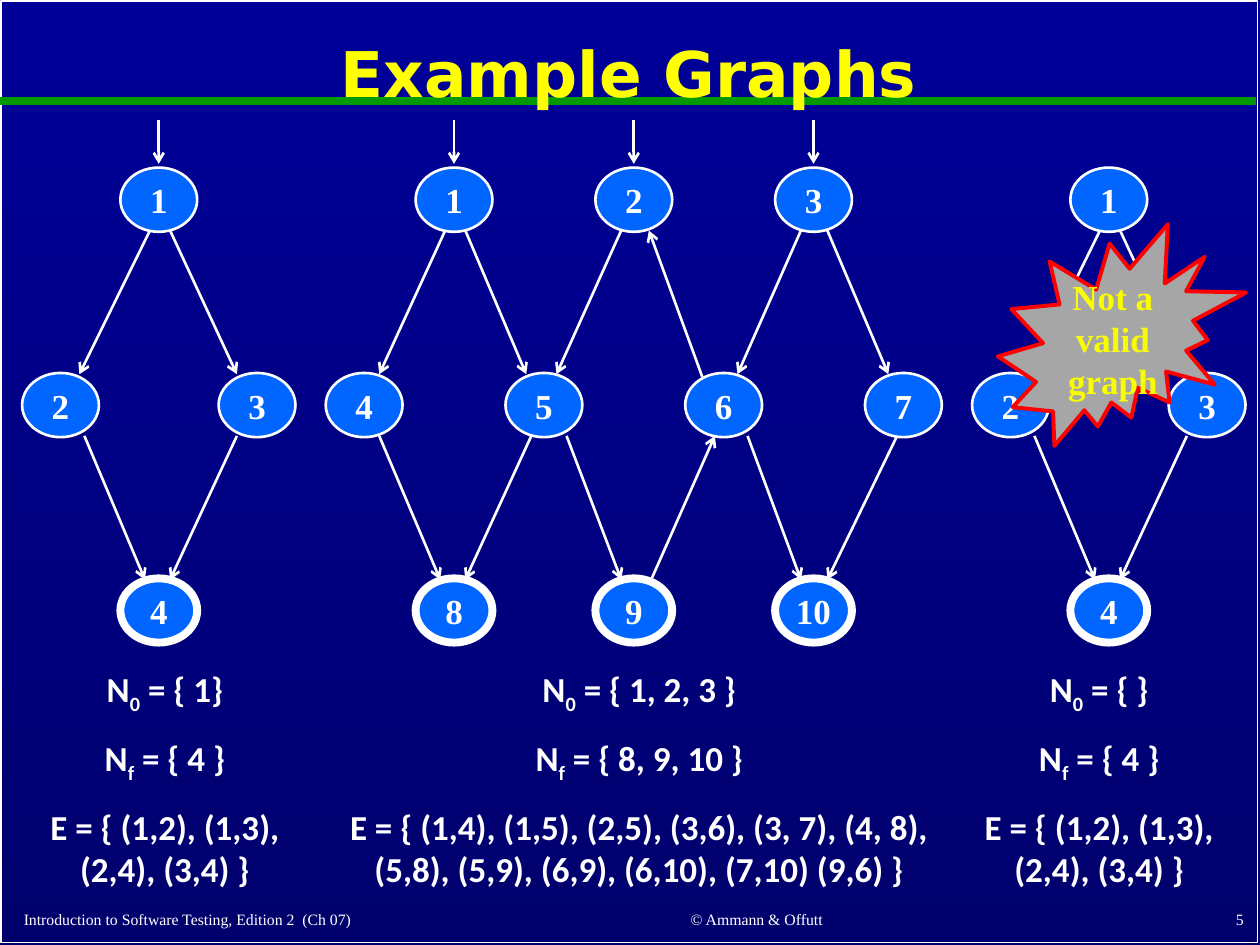
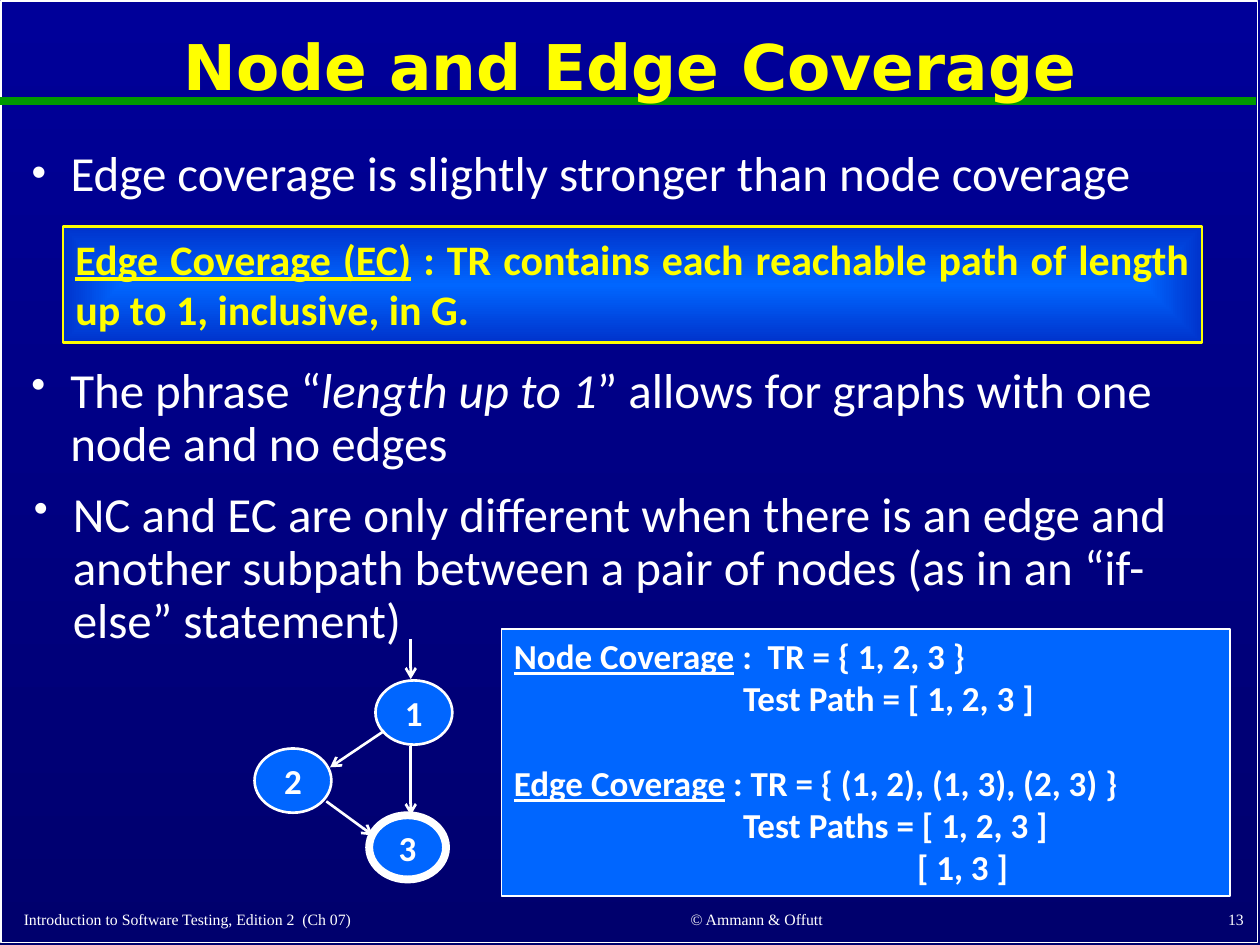
from lxml.etree import SubElement
from pptx import Presentation
from pptx.dml.color import RGBColor
from pptx.enum.shapes import MSO_CONNECTOR, MSO_SHAPE
from pptx.enum.text import MSO_ANCHOR as Anchor, MSO_AUTO_SIZE, PP_ALIGN as Align
from pptx.oxml.ns import qn
from pptx.util import Pt

PX = 9144  # EMU per px, 100 px to the inch

WHITE = RGBColor(0xFF, 0xFF, 0xFF)
YELLOW = RGBColor(0xFF, 0xFF, 0x00)
WARNING_YELLOW = RGBColor(0xFA, 0xFD, 0x00)
RED = RGBColor(0xFF, 0x00, 0x00)
GREEN = RGBColor(0x00, 0x99, 0x00)
GREY = RGBColor(0xA6, 0xA6, 0xA6)
BLUE = RGBColor(0x00, 0x66, 0xFF)
DEEP_BLUE = RGBColor(0x00, 0x33, 0xCC)
SKY_TOP = RGBColor(0x00, 0x00, 0x99)
SKY_BOTTOM = RGBColor(0x00, 0x00, 0x6D)

SERIF, SANS, TITLE_FONT = "Times New Roman", "Calibri", "DejaVu Sans"

FOOTERS = [
    ("Introduction to Software Testing, Edition 2  (Ch 07)", (9, 712, 412, 30), Align.LEFT),
    ("© Ammann & Offutt", (442, 711, 317, 31), Align.CENTER),
]
NUMBER_BOX = (789, 710, 208, 32)

# Nodes are name: (column, row); edges are source, target, and the
# sideways offsets at which the arrow leaves and arrives.
NODE_WIDTH, NODE_HEIGHT = 61, 51
ROW_TOPS = (133, 296, 459)
DIAMOND = {
    "nodes": {1: (1, 0), 2: (0, 1), 3: (2, 1), 4: (1, 2)},
    "edges": [(1, 2, -7, 15), (1, 3, 9, -16), (2, 4, 19, -11), (3, 4, -16, 9)],
}
LATTICE = {
    "nodes": {1: (1, 0), 2: (3, 0), 3: (5, 0),
              4: (0, 1), 5: (2, 1), 6: (4, 1), 7: (6, 1),
              8: (1, 2), 9: (3, 2), 10: (5, 2)},
    "edges": [(1, 4, -7, 12), (1, 5, 9, -14), (2, 5, -10, 10), (3, 6, -10, 11),
              (3, 7, 11, -12), (4, 8, 12, -11), (5, 8, -10, 9), (5, 9, 18, -10),
              (6, 9, 0, 0), (6, 10, 19, -10), (7, 10, -5, 11), (6, 2, -17, 12),
              (9, 6, 13, -7)],
}
LATTICE["edges"].remove((6, 9, 0, 0))


def sets(initial, final, edges):
    return [["N", ("0", "sub"), f" = {initial}"],
            ["N", ("f", "sub"), f" = {final}"],
            [f"E = {edges}"]]


DIAMOND_EDGES = "{ (1,2), (1,3), (2,4), (3,4) }"
# graph, first column centre, last column centre, initial nodes, caption box, caption
EXAMPLE_GRAPHS = [
    (DIAMOND, 48, 204, [1], (18, 525, 226, 178),
     sets("{ 1}", "{ 4 }", DIAMOND_EDGES)),
    (DIAMOND, 802, 958, [], (756, 525, 233, 178),
     sets("{ }", "{ 4 }", DIAMOND_EDGES)),
    (LATTICE, 289, 717, [1, 2, 3], (259, 525, 497, 212),
     sets("{ 1, 2, 3 }", "{ 8, 9, 10 }",
          "{ (1,4), (1,5), (2,5), (3,6), (3, 7), (4, 8), "
          "(5,8), (5,9), (6,9), (6,10), (7,10) (9,6) }")),
]
WARNING = [["Not a"], ["valid"], ["graph"]]

BULLETS = [
    ((15, 113, 970, 52), ["Edge coverage is slightly stronger than node coverage"]),
    ((15, 286, 970, 83), ["The phrase “", ("length up to 1", "i"),
                          "” allows for graphs with one node and no edges"]),
    ((17, 384, 970, 83), ["NC and EC are only different when there is an edge and another "
                          "subpath between a pair of nodes (as in an “if-else” statement)"]),
]
DEFINITION = [[("Edge Coverage (EC)", "u"),
               " : TR contains each reachable path of length up to 1, inclusive, in G."]]
# indent, space before in points, runs
COVERAGE_LINES = [
    (0, 0, [("Node Coverage", "u"), " :  TR = { 1, 2, 3 }"]),
    (182, 0, ["Test Path = [ 1, 2, 3 ]"]),
    (0, 24.4, [("Edge Coverage", "u"), " : TR = { (1, 2), (1, 3), (2, 3) }"]),
    (182, 0, ["Test Paths = [ 1, 2, 3 ]"]),
    (320, 0, ["[ 1, 3 ]"]),
]
BRANCH_NODES = [(2, 202, 594, False), (3, 293, 647, True), (1, 298, 540, False)]
BRANCH_ARROWS = [((305, 580), (262, 609)), ((259, 636), (296, 663)),
                 ((326, 592), (326, 647)), ((326, 507), (326, 539))]


def emu(values):
    return [round(value * PX) for value in values]


def move(shape, box):
    shape.left, shape.top, shape.width, shape.height = emu(box)


def write(shape, lines, font, size, color=WHITE, bold=False, align=Align.LEFT,
          anchor=Anchor.TOP, wrap=True):
    """Fill a shape with lines of runs; a run is a string or (string, mark)."""
    frame = shape.text_frame
    frame.word_wrap, frame.vertical_anchor = wrap, anchor
    frame.auto_size = MSO_AUTO_SIZE.NONE
    for index, runs in enumerate(lines):
        paragraph = frame.add_paragraph() if index else frame.paragraphs[0]
        paragraph.alignment = align
        paragraph.font.name, paragraph.font.size = font, Pt(size)
        paragraph.font.bold, paragraph.font.color.rgb = bold, color
        for item in runs:
            text, mark = (item, "") if isinstance(item, str) else item
            run = paragraph.add_run()
            run.text = text
            if mark == "u":
                run.font.underline = True
            elif mark == "i":
                run.font.italic = True
            elif mark == "sub":
                run._r.get_or_add_rPr().set("baseline", "-25000")
    return frame.paragraphs


def add_text(slide, box, lines, *style, **options):
    return write(slide.shapes.add_textbox(*emu(box)), lines, *style, **options)


def add_panel(slide, kind, box, line_color, line_width, fill=None):
    shape = slide.shapes.add_shape(kind, *emu(box))
    shape.shadow.inherit = False
    shape.line.color.rgb, shape.line.width = line_color, Pt(line_width)
    if fill is None:
        shape.fill.background()
    else:
        shape.fill.solid()
        shape.fill.fore_color.rgb = fill
    return shape


def add_line(slide, start, end, color=WHITE, width=1.5, arrow=True):
    connector = slide.shapes.add_connector(MSO_CONNECTOR.STRAIGHT, *emu((*start, *end)))
    connector.line.color.rgb, connector.line.width = color, Pt(width)
    properties = connector._element.spPr
    if arrow:
        SubElement(properties.find(qn("a:ln")), qn("a:tailEnd"), type="arrow")
    SubElement(properties, qn("a:effectLst"))


def add_node(slide, name, left, top, final, font):
    node = add_panel(slide, MSO_SHAPE.OVAL, (left, top, NODE_WIDTH, NODE_HEIGHT),
                     WHITE, 4.5 if final else 1.5, BLUE)
    write(node, [[str(name)]], font, 20, bold=True, align=Align.CENTER,
          anchor=Anchor.MIDDLE, wrap=False)


def add_graph(slide, graph, first, last, initial):
    columns = max(column for column, _ in graph["nodes"].values())
    step = (last - first) / columns
    places = {name: (first + column * step, ROW_TOPS[row])
              for name, (column, row) in graph["nodes"].items()}
    for name, (center, top) in places.items():
        add_node(slide, name, center - NODE_WIDTH / 2, top, top == ROW_TOPS[-1], SERIF)
    for source, target, leave, arrive in graph["edges"]:
        (start_x, start_top), (end_x, end_top) = places[source], places[target]
        down = start_top < end_top
        add_line(slide, (start_x + leave, start_top + (50 if down else 3)),
                 (end_x + arrive, end_top + (1 if down else 50)))
    for name in initial:
        center, top = places[name]
        add_line(slide, (center, top - 38), (center, top - 3))


def set_gradient(fill, first, last):
    fill.gradient()
    for stop, color in zip(fill.gradient_stops, (first, last)):
        stop.color.rgb = color


def glow_from_center(shape, inner, outer):
    set_gradient(shape.fill, inner, outer)
    gradient = shape._element.spPr.find(qn("a:gradFill"))
    gradient.remove(gradient.find(qn("a:lin")))
    outline = SubElement(gradient, qn("a:path"), path="shape")
    SubElement(outline, qn("a:fillToRect"),
               {side: "50000" for side in ("l", "t", "r", "b")})


def add_slide(presentation, layout, title, title_box, number):
    slide = presentation.slides.add_slide(presentation.slide_layouts[layout])
    add_panel(slide, MSO_SHAPE.RECTANGLE, (1, 1, 997, 747), WHITE, 1)
    add_line(slide, (0, 80), (997, 80), GREEN, 4.5, arrow=False)
    for text, box, align in [*FOOTERS, (str(number), NUMBER_BOX, Align.RIGHT)]:
        add_text(slide, box, [[text]], SERIF, 9, align=align, anchor=Anchor.BOTTOM)
    heading = slide.shapes.title
    move(heading, title_box)
    paragraph, = write(heading, [[title]], TITLE_FONT, 36, YELLOW, True,
                       Align.CENTER, Anchor.MIDDLE)
    paragraph.line_spacing = 0.9
    # The title lies above the green line.
    slide.shapes._spTree.append(heading._element)
    return slide


def add_bullet(shape, box, runs):
    move(shape, box)
    properties = shape.text_frame.paragraphs[0]._p.get_or_add_pPr()
    properties.set("marL", str(31 * PX))
    properties.set("indent", str(-31 * PX))
    SubElement(properties, qn("a:buSzPct"), val="85000")
    SubElement(properties, qn("a:buChar"), char="•")
    paragraph, = write(shape, [runs], SANS, 28)
    paragraph.line_spacing, paragraph.space_before = 0.9, Pt(0)


def build_example_graphs(presentation):
    slide = add_slide(presentation, 5, "Example Graphs", (9, 11, 980, 100), 5)
    for graph, first, last, initial, box, caption in EXAMPLE_GRAPHS:
        add_graph(slide, graph, first, last, initial)
        lines = add_text(slide, box, caption, SANS, 20, bold=True, align=Align.CENTER)
        for paragraph in lines[1:]:
            paragraph.space_before = Pt(12)
    burst = add_panel(slide, MSO_SHAPE.EXPLOSION2, (792, 178, 197, 176), RED, 2.25, GREY)
    write(burst, WARNING, SERIF, 20, WARNING_YELLOW, True, Align.CENTER,
          Anchor.MIDDLE, wrap=False)


def build_coverage(presentation):
    slide = add_slide(presentation, 1, "Node and Edge Coverage", (75, 11, 850, 90), 13)
    for index, (box, runs) in enumerate(BULLETS):
        shape = slide.shapes.add_textbox(*emu(box)) if index else slide.placeholders[1]
        add_bullet(shape, box, runs)

    definition = add_panel(slide, MSO_SHAPE.RECTANGLE, (50, 180, 904, 92), YELLOW, 1.5, BLUE)
    glow_from_center(definition, BLUE, DEEP_BLUE)
    write(definition, DEFINITION, SANS, 24, YELLOW, True, Align.JUSTIFY)

    coverage = add_panel(slide, MSO_SHAPE.RECTANGLE, (398, 499, 578, 212), WHITE, 1, BLUE)
    lines = write(coverage, [runs for _, _, runs in COVERAGE_LINES], SANS, 20, bold=True)
    for paragraph, (indent, space, _) in zip(lines, COVERAGE_LINES):
        paragraph._p.get_or_add_pPr().set("marL", str(indent * PX))
        paragraph.space_before = Pt(space)

    for name, left, top, final in BRANCH_NODES:
        add_node(slide, name, left, top, final, SANS)
    for start, end in BRANCH_ARROWS:
        add_line(slide, start, end)


def main():
    presentation = Presentation()
    presentation.slide_width, presentation.slide_height = emu((1000, 750))
    sky = presentation.slide_master.background.fill
    set_gradient(sky, SKY_TOP, SKY_BOTTOM)
    sky.gradient_angle = 270
    build_example_graphs(presentation)
    build_coverage(presentation)
    presentation.save("out.pptx")


if __name__ == "__main__":
    main()
